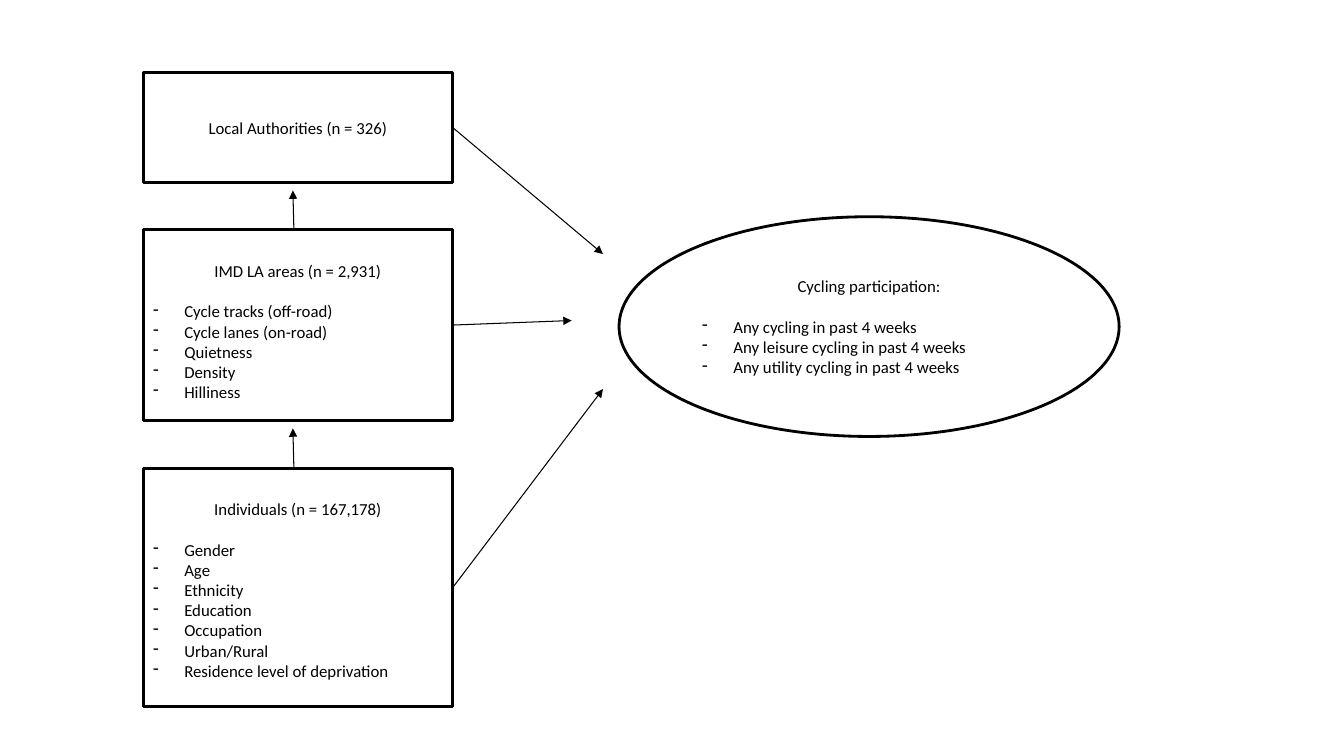
from lxml.etree import SubElement
from pptx import Presentation
from pptx.dml.color import RGBColor
from pptx.enum.shapes import MSO_CONNECTOR, MSO_SHAPE
from pptx.enum.text import MSO_ANCHOR, PP_ALIGN
from pptx.oxml.ns import qn
from pptx.util import Inches, Pt

COLORS = {"ink": "000000", "paper": "FFFFFF"}
FONT = "Calibri"
TEXT_SIZE = 12
HEADING_GAP = 14.6
INDENT = 0.31
COLUMN_LEFT, COLUMN_WIDTH = 1.42, 3.07
ARROW_GAP = 0.08

LEVELS = [
    {"top": 0.72, "height": 1.09, "drop": 0, "target": (5.98, 2.52),
     "heading": "Local Authorities (n = 326)", "items": []},
    {"top": 2.28, "height": 1.89, "drop": 0.06, "target": (5.67, 3.18),
     "heading": "IMD LA areas (n = 2,931)",
     "items": ["Cycle tracks (off-road)", "Cycle lanes (on-road)", "Quietness",
               "Density", "Hilliness"]},
    {"top": 4.65, "height": 2.36, "drop": 0.02, "target": (5.98, 3.86),
     "heading": "Individuals (n = 167,178)",
     "items": ["Gender", "Age", "Ethnicity", "Education", "Occupation",
               "Urban/Rural", "Residence level of deprivation"]},
]
OUTCOME_BOX = (6.14, 2.15, 4.96, 2.18)
OUTCOME_ITEMS = ["Any cycling in past 4 weeks", "Any leisure cycling in past 4 weeks",
                 "Any utility cycling in past 4 weeks"]


def color(name):
    """Return a named colour."""
    return RGBColor.from_string(COLORS[name])


def add_dash(para):
    """Give a paragraph a hanging dash bullet."""
    properties = para._p.get_or_add_pPr()
    properties.set("marL", str(Inches(INDENT)))
    properties.set("indent", str(-Inches(INDENT)))
    SubElement(properties, qn("a:buFontTx"))
    SubElement(properties, qn("a:buChar"), char="-")


def write_line(para, text, alignment):
    """Write one run of text into a paragraph."""
    para.alignment = alignment
    span = para.add_run()
    span.text = text
    span.font.name = FONT
    span.font.size = Pt(TEXT_SIZE)
    span.font.color.rgb = color("ink")


def add_node(page, kind, box, heading, items, drop=0):
    """Draw an outlined shape holding a centred heading and a dashed list."""
    shape = page.shapes.add_shape(kind, *map(Inches, box))
    shape.shadow.inherit = False
    shape.fill.solid()
    shape.fill.fore_color.rgb = color("paper")
    shape.line.color.rgb = color("ink")
    shape.line.width = Pt(2)
    frame = shape.text_frame
    frame.word_wrap = True
    frame.vertical_anchor = MSO_ANCHOR.MIDDLE
    frame.margin_top = Inches(0.05 + 2 * drop)
    write_line(frame.paragraphs[0], heading, PP_ALIGN.CENTER)
    if items:
        frame.paragraphs[0].space_after = Pt(HEADING_GAP)
    for item in items:
        para = frame.add_paragraph()
        add_dash(para)
        write_line(para, item, PP_ALIGN.LEFT)


def add_arrow(page, start, end):
    """Draw a thin straight arrow between two points."""
    arrow = page.shapes.add_connector(MSO_CONNECTOR.STRAIGHT, *map(Inches, start + end))
    arrow.line.color.rgb = color("ink")
    arrow.line.width = Pt(0.75)
    SubElement(arrow.line._get_or_add_ln(), qn("a:tailEnd"), type="triangle")
    SubElement(arrow._element.spPr, qn("a:effectLst"))


def add_levels(page, left, width):
    """Stack the data levels, each pointing up and to the outcome."""
    middle = left + width / 2 - 0.04
    for index, level in enumerate(LEVELS):
        top, height = level["top"], level["height"]
        add_node(page, MSO_SHAPE.RECTANGLE, (left, top, width, height),
                 level["heading"], level["items"], level["drop"])
        add_arrow(page, (left + width, top + height / 2), level["target"])
        if index:
            above = LEVELS[index - 1]
            add_arrow(page, (middle, top),
                      (middle - 0.01, above["top"] + above["height"] + ARROW_GAP))


def main():
    """Build the deck and save it."""
    deck = Presentation()
    deck.slide_width, deck.slide_height = Inches(13.33), Inches(7.5)
    page = deck.slides.add_slide(deck.slide_layouts[6])
    add_levels(page, COLUMN_LEFT, COLUMN_WIDTH)
    add_node(page, MSO_SHAPE.OVAL, OUTCOME_BOX, "Cycling participation:", OUTCOME_ITEMS)
    deck.save("out.pptx")


if __name__ == "__main__":
    main()
